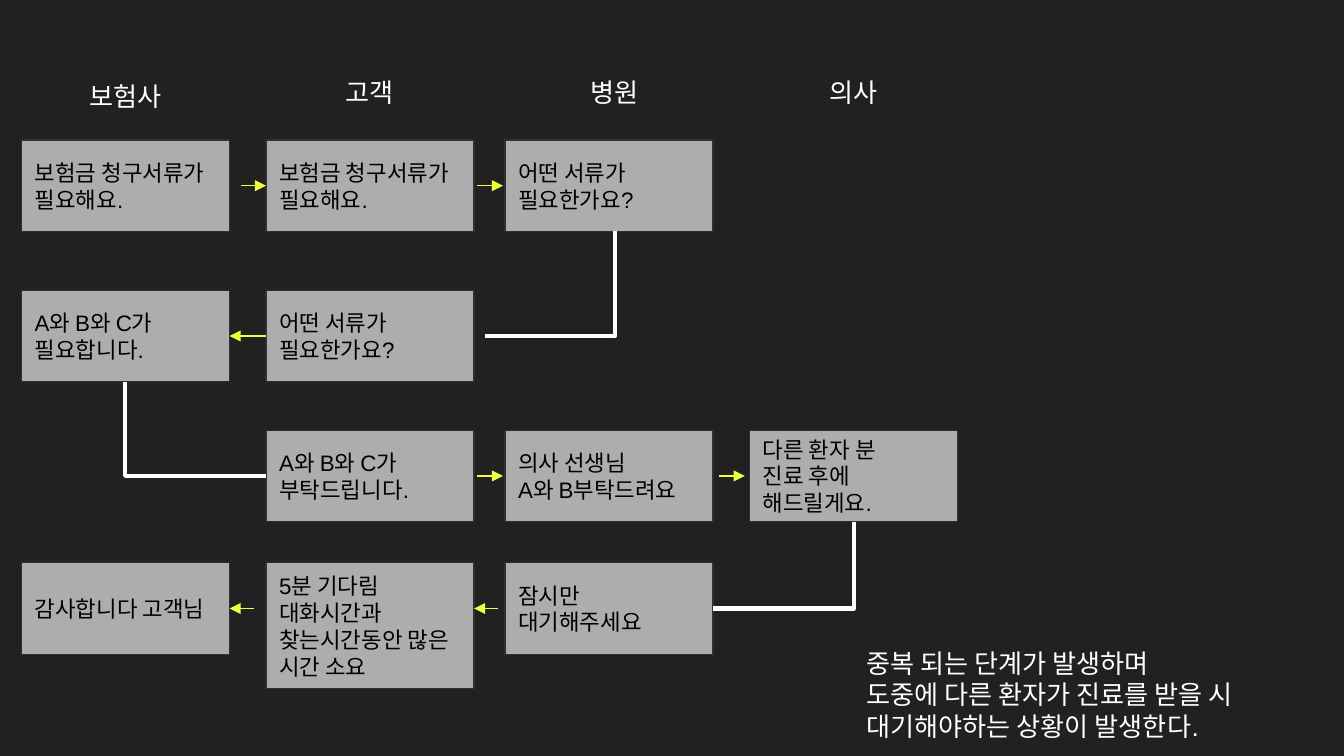
from lxml import etree
from pptx import Presentation
from pptx import util as u
from pptx.dml.color import RGBColor
from pptx.enum import shapes, text
from pptx.oxml.ns import qn

Pt = u.Pt
THEME = dict(back="212121", box="ADADAD", edge="303030", ink="000000",
             light="FFFFFF", arrow="EEFF41", font="Arial",
             body=12, head=14, thin=0.75, thick=2.25)

# Content: heads are (text, left, top, width, height)
HEADS = [("보험사", 11.5, 36, 111.5, 28), ("고객", 142.5, 33.75, 111.5, 31.5),
         ("병원", 273.5, 33.75, 111.5, 31.5), ("의사", 427, 33.75, 60.5, 31.5)]
NOTE = (["중복 되는 단계가 발생하며",
         "도중에 다른 환자가 진료를 받을 시 대기해야하는 상황이 발생한다."],
        457, 339.5, 262, 65.5)

# Steps by (row, column); \v breaks a line
STEPS = {
    (0, 0): "보험금 청구서류가 필요해요.",
    (0, 1): "보험금 청구서류가 필요해요.",
    (0, 2): "어떤 서류가 필요한가요?",
    (1, 0): "A와 B와 C가 필요합니다.",
    (1, 1): "어떤 서류가 필요한가요?",
    (2, 1): "A와 B와 C가 부탁드립니다.",
    (2, 2): "의사 선생님\vA와 B부탁드려요",
    (2, 3): "다른 환자 분\v진료 후에 해드릴게요.",
    (3, 0): "감사합니다 고객님",
    (3, 1): "5분 기다림\v대화시간과 찾는시간동안 많은 시간 소요",
    (3, 2): "잠시만 대기해주세요",
}
COLS, ROWS = [11.5, 142.5, 270.5, 401.5], [75, 155.5, 230.5, 301.5]
WIDE, HIGH = 111.5, 49
TALL = {(3, 1): 67.5}

# Arrows: row, from x, to x, joined start (step, side), joined end
ARROWS = [
    (0, 129, 142.5, None, ((0, 1), 1)),
    (0, 255.5, 269.5, None, None),
    (1, 142.5, 123, ((1, 1), 1), ((1, 0), 3)),
    (2, 255.5, 269.5, None, None),
    (2, 385, 399, None, None),
    (3, 267, 254, None, None),
    (3, 136, 123, None, ((3, 0), 3)),
]
# Bends run down, then across: from row, from x, to row, to x
BENDS = [(0, 329.5, 1, 260), (1, 67, 2, 142.5), (2, 457.5, 3, 382)]


def rgb(name):
    return RGBColor.from_string(THEME[name])


def apply(obj, vals):
    for key, val in vals.items():
        setattr(obj, key, val)


def write(shape, paras, size, ink, align, anchor):
    frame = shape.text_frame
    apply(frame, dict(word_wrap=True, vertical_anchor=anchor,
                      margin_left=Pt(7.2), margin_right=Pt(7.2),
                      margin_top=Pt(7.2), margin_bottom=Pt(7.2)))
    frame.text = "\n".join(paras)
    for para in frame.paragraphs:
        para.alignment = align
        for run in para.runs:
            apply(run.font, dict(name=THEME["font"], size=Pt(THEME[size])))
            run.font.color.rgb = rgb(ink)


def label(paras, place, align):
    box = slide.shapes.add_textbox(*map(Pt, place))
    write(box, paras, "head", "light", align, text.MSO_ANCHOR.TOP)


def link(kind, ends, color, width):
    line = slide.shapes.add_connector(kind, *map(Pt, ends))
    line.line.color.rgb = rgb(color)
    line.line.width = Pt(THEME[width])
    etree.SubElement(line._element.spPr, qn("a:effectLst"))
    return line


def mid(row):
    return ROWS[row] + HIGH / 2


deck = Presentation()
apply(deck, dict(slide_width=Pt(720), slide_height=Pt(405)))
slide = deck.slides.add_slide(deck.slide_layouts[6])
slide.background.fill.solid()
slide.background.fill.fore_color.rgb = rgb("back")

# Column heads and closing note
for head, *place in HEADS:
    label([head], place, text.PP_ALIGN.CENTER)
label(NOTE[0], NOTE[1:], text.PP_ALIGN.LEFT)

# Step boxes
boxes = {}
for (row, col), words in STEPS.items():
    place = COLS[col], ROWS[row], WIDE, TALL.get((row, col), HIGH)
    box = slide.shapes.add_shape(shapes.MSO_SHAPE.RECTANGLE, *map(Pt, place))
    box.shadow.inherit = False
    box.fill.solid()
    box.fill.fore_color.rgb = rgb("box")
    box.line.color.rgb = rgb("edge")
    box.line.width = Pt(THEME["thin"])
    write(box, [words], "body", "ink", text.PP_ALIGN.LEFT,
          text.MSO_ANCHOR.MIDDLE)
    boxes[row, col] = box

# Arrows
for row, x1, x2, start, end in ARROWS:
    line = link(shapes.MSO_CONNECTOR.STRAIGHT, (x1, mid(row), x2, mid(row)),
                "arrow", "thin")
    etree.SubElement(line.line._get_or_add_ln(), qn("a:tailEnd"),
                     type="triangle")
    if start:
        line.begin_connect(boxes[start[0]], start[1])
    if end:
        line.end_connect(boxes[end[0]], end[1])

# Bends: a one-corner elbow, turned so that it starts downwards
for top, x1, low, x2 in BENDS:
    y1, y2 = ROWS[top] + HIGH, mid(low)
    run, drop = abs(x2 - x1), y2 - y1
    left, up = (x1 + x2 - drop) / 2, (y1 + y2 - run) / 2
    line = link(shapes.MSO_CONNECTOR.ELBOW,
                (left, up, left + drop, up + run), "light", "thick")
    props = line._element.spPr
    props.find(qn("a:prstGeom")).set("prst", "bentConnector2")
    turn = props.find(qn("a:xfrm"))
    turn.set("rot", str((90 if x2 < x1 else 270) * 60000))
    if x2 > x1:
        turn.set("flipH", "1")

deck.save("out.pptx")
